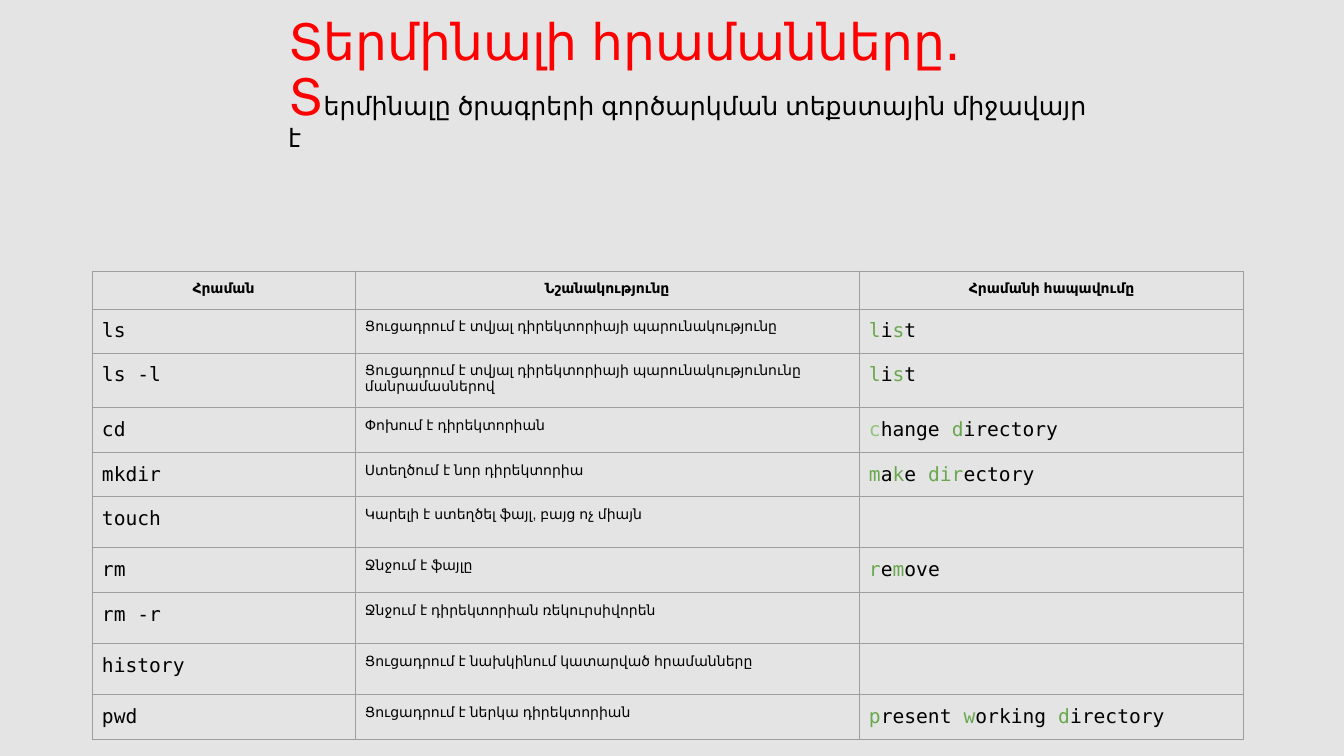
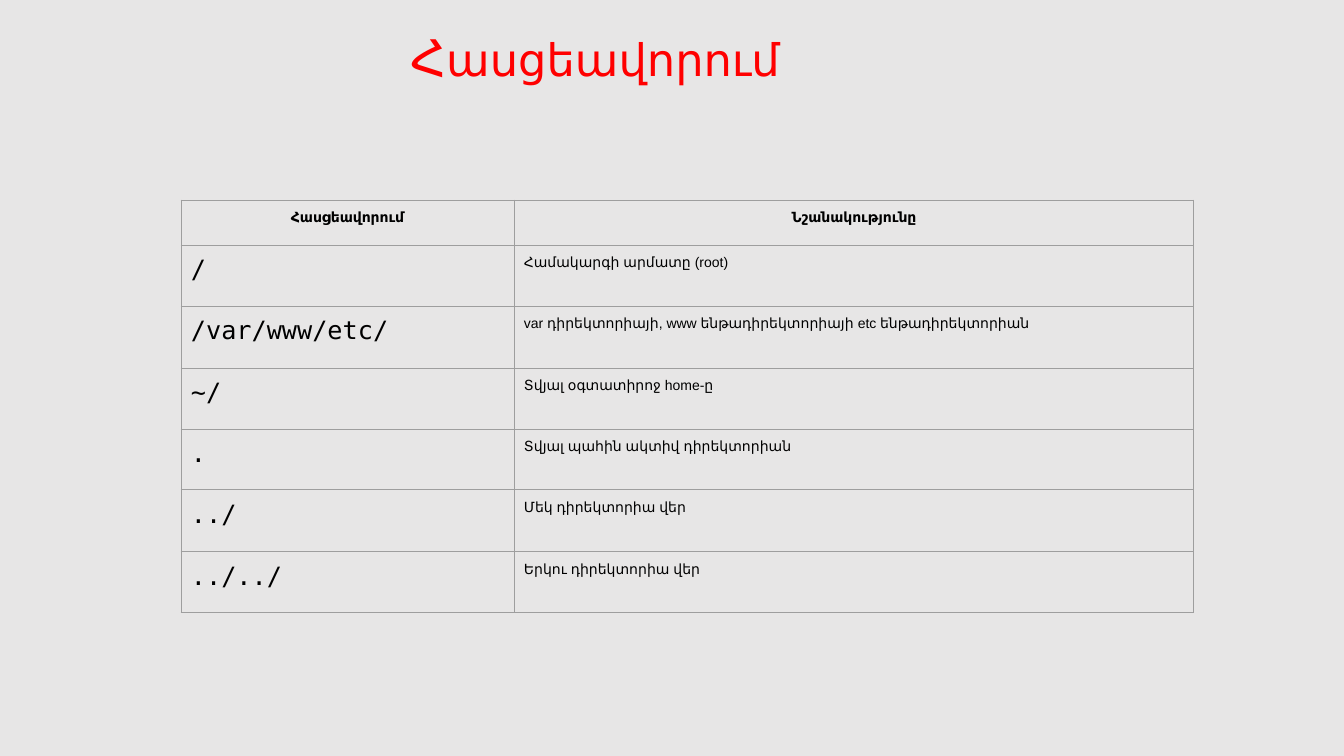
from dataclasses import dataclass

from lxml import etree
from pptx import Presentation
from pptx import util as u
from pptx.dml.color import RGBColor
from pptx.enum import text
from pptx.oxml.ns import qn

EMU_PER_PIXEL = 914400 / 100.8


@dataclass(frozen=True)
class Theme:
    """Colours, fonts and type sizes of the deck."""
    title: str = "FF0000"
    ink: str = "000000"
    accent: str = "6AA84F"
    light_accent: str = "93C47D"
    border: str = "9E9E9E"
    commands_background: str = "E4E4E4"
    addresses_background: str = "E7E6E6"
    border_width: float = 0.75
    sans: str = "Arial"
    display: str = "Roboto"
    mono: str = "DejaVu Sans Mono"
    title_size: int = 36
    subtitle_size: int = 32
    lead_size: int = 18
    address_size: int = 18
    command_size: int = 14
    body_size: int = 10
    cell_margin: int = 10
    title_spacing: float = 0.9


@dataclass(frozen=True)
class Run:
    """A piece of text with its own look."""
    words: str
    size: int
    font: str
    colour: str
    bold: bool = False


THEME = Theme()


def px(pixels):
    """Turn pixels into EMU."""
    return u.Emu(round(pixels * EMU_PER_PIXEL))


def body(words, bold=False):
    """Return plain table text as runs."""
    return [Run(words, THEME.body_size, THEME.sans, THEME.ink, bold)]


def code(words, size):
    """Return a command or an address as runs."""
    return [Run(words, size, THEME.mono, THEME.ink)]


def abbreviation(parts, first=THEME.accent):
    """Colour every other part, split at bars, starting with the first."""
    runs = []
    for index, part in enumerate(parts.split("|")):
        colour = THEME.ink if index % 2 else THEME.accent
        runs.append(Run(part, THEME.command_size, THEME.mono,
                        colour if index else first))
    return [run for run in runs if run.words]


class Deck:
    """Holds the style, the presentation and the current slide."""

    def __init__(self, theme):
        """Start an empty widescreen presentation."""
        self.theme = theme
        self.presentation = Presentation()
        self.presentation.slide_width = px(1344)
        self.presentation.slide_height = px(756)
        self.slide = None

    def add_slide(self, background):
        """Add a title-only slide on a plain background."""
        layout = self.presentation.slide_layouts[5]
        self.slide = self.presentation.slides.add_slide(layout)
        fill = self.slide.background.fill
        fill.solid()
        fill.fore_color.rgb = RGBColor.from_string(background)

    def add_runs(self, paragraph, runs, alignment=text.PP_ALIGN.LEFT):
        """Add styled runs to a paragraph."""
        paragraph.alignment = alignment
        for item in runs:
            run = paragraph.add_run()
            run.text = item.words
            run.font.name = item.font
            run.font.size = u.Pt(item.size)
            run.font.bold = item.bold
            run.font.color.rgb = RGBColor.from_string(item.colour)

    def title(self, left, top, width, height, paragraphs):
        """Place the title and fill its paragraphs."""
        shape = self.slide.shapes.title
        shape.left, shape.top = px(left), px(top)
        shape.width, shape.height = px(width), px(height)
        frame = shape.text_frame
        frame.word_wrap = True
        frame.auto_size = text.MSO_AUTO_SIZE.NONE
        frame.vertical_anchor = text.MSO_ANCHOR.TOP
        for index, runs in enumerate(paragraphs):
            paragraph = frame.add_paragraph() if index else frame.paragraphs[0]
            paragraph.line_spacing = self.theme.title_spacing
            self.add_runs(paragraph, runs)

    def border(self, cell):
        """Draw a thin line on all four sides of a cell."""
        properties = cell._tc.get_or_add_tcPr()
        for index, side in enumerate(("a:lnL", "a:lnR", "a:lnT", "a:lnB")):
            line = etree.Element(qn(side), w=str(u.Pt(self.theme.border_width)))
            fill = etree.SubElement(line, qn("a:solidFill"))
            etree.SubElement(fill, qn("a:srgbClr"), val=self.theme.border)
            properties.insert(index, line)

    def table(self, left, top, columns, heights, headings, rows):
        """Add a bordered table with a centred bold heading row."""
        frame = self.slide.shapes.add_table(
            len(heights), len(columns), px(left), px(top),
            px(sum(columns)), px(sum(heights)))
        table = frame.table
        table.first_row = table.horz_banding = False
        for column, width in zip(table.columns, columns):
            column.width = px(width)
        for row, height in zip(table.rows, heights):
            row.height = px(height)
        content = [[body(words, bold=True) for words in headings], *rows]
        margin = px(self.theme.cell_margin)
        for row_index, row in enumerate(content):
            alignment = text.PP_ALIGN.LEFT if row_index else text.PP_ALIGN.CENTER
            for column_index, runs in enumerate(row):
                cell = table.cell(row_index, column_index)
                cell.margin_left = cell.margin_right = margin
                cell.margin_top = cell.margin_bottom = margin
                cell.fill.background()
                self.border(cell)
                self.add_runs(cell.text_frame.paragraphs[0], runs, alignment)


def commands_slide(deck):
    """Build the slide of terminal commands."""
    theme = deck.theme
    commands = [
        ("ls", "Ցուցադրում է տվյալ դիրեկտորիայի պարունակությունը", "l|i|s|t"),
        ("ls -l", "Ցուցադրում է տվյալ դիրեկտորիայի պարունակությունունը "
                  "մանրամասներով", "l|i|s|t"),
        ("cd", "Փոխում է դիրեկտորիան", "c|hange |d|irectory"),
        ("mkdir", "Ստեղծում է նոր դիրեկտորիա", "m|a|k|e |dir|ectory"),
        ("touch", "Կարելի է ստեղծել ֆայլ, բայց ոչ միայն", ""),
        ("rm", "Ջնջում է ֆայլը", "r|e|m|ove"),
        ("rm -r", "Ջնջում է դիրեկտորիան ռեկուրսիվորեն", ""),
        ("history", "Ցուցադրում է նախկինում կատարված հրամանները", ""),
        ("pwd", "Ցուցադրում է ներկա դիրեկտորիան", "p|resent |w|orking |d|irectory"),
    ]
    rows = []
    for command, meaning, parts in commands:
        first = theme.light_accent if command == "cd" else theme.accent
        rows.append([code(command, theme.command_size), body(meaning),
                     abbreviation(parts, first)])

    deck.add_slide(theme.commands_background)
    deck.title(278, 12, 831, 194, [
        [Run("Տերմինալի հրամանները․", theme.title_size, theme.sans, theme.title)],
        [Run("Տ", theme.title_size, theme.sans, theme.title),
         Run("երմինալը ծրագրերի գործարկման տեքստային միջավայր է",
             theme.lead_size, theme.sans, theme.ink)],
    ])
    deck.table(92, 271, [263, 504, 385],
               [38, 44, 55, 45, 44, 51, 45, 51, 51, 45],
               ["Հրաման", "Նշանակությունը", "Հրամանի հապավումը"], rows)


def addresses_slide(deck):
    """Build the slide of path addresses."""
    theme = deck.theme
    addresses = [
        ("/", "Համակարգի արմատը (root)"),
        ("/var/www/etc/",
         "var դիրեկտորիայի, www ենթադիրեկտորիայի etc ենթադիրեկտորիան"),
        ("~/", "Տվյալ օգտատիրոջ home-ը"),
        (".", "Տվյալ պահին ակտիվ դիրեկտորիան"),
        ("../", "Մեկ դիրեկտորիա վեր"),
        ("../../", "Երկու դիրեկտորիա վեր"),
    ]
    rows = [[code(address, theme.address_size), body(meaning)]
            for address, meaning in addresses]

    deck.add_slide(theme.addresses_background)
    deck.title(400, 28, 613, 72, [
        [Run("Հ", theme.title_size, theme.display, theme.title),
         Run("ասցեավորում", theme.subtitle_size, theme.display, theme.title)],
    ])
    deck.table(181, 200, [333, 680], [45, 61, 62, 61, 61, 62, 61],
               ["Հասցեավորում", "Նշանակությունը"], rows)


def main():
    """Build both slides and save them."""
    deck = Deck(THEME)
    commands_slide(deck)
    addresses_slide(deck)
    deck.presentation.save("out.pptx")


main()
